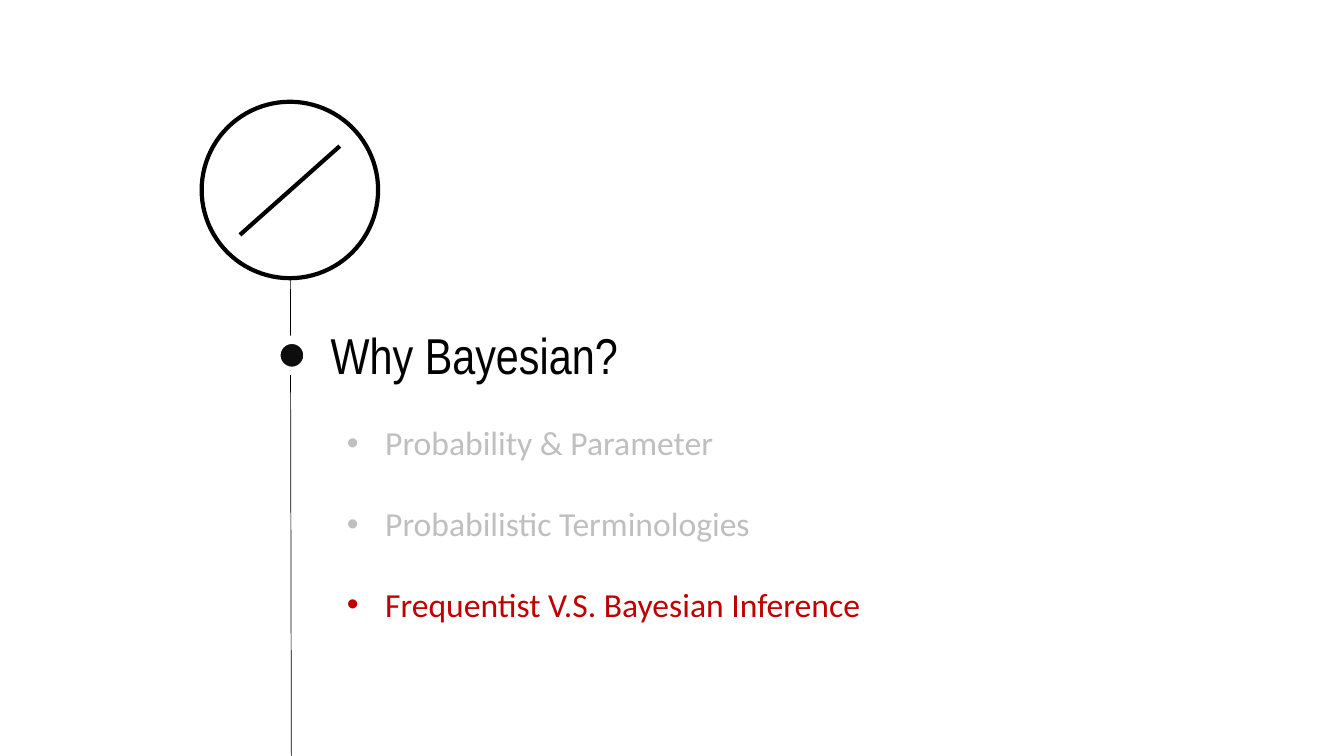
from pptx import Presentation
from pptx.dml.color import RGBColor
from pptx.enum.shapes import MSO_CONNECTOR, MSO_SHAPE
from pptx.enum.text import MSO_ANCHOR, MSO_AUTO_SIZE, PP_ALIGN
from pptx.oxml.ns import qn
from pptx.util import Inches, Pt
from lxml.etree import SubElement

BLACK = RGBColor(0x00, 0x00, 0x00)
DOT_BLACK = RGBColor(0x0D, 0x0D, 0x0D)
WHITE = RGBColor(0xFF, 0xFF, 0xFF)
MUTED = RGBColor(0xBF, 0xBF, 0xBF)
ACTIVE = RGBColor(0xC0, 0x00, 0x00)

TOPICS = [
    ("Probability & Parameter", MUTED),
    ("Probabilistic Terminologies", MUTED),
    ("Frequentist V.S. Bayesian Inference", ACTIVE),
]


class SectionSlide:
    title_font = "Arial Narrow"
    body_font = "Calibri"
    title_size = Pt(36)
    body_size = Pt(24)
    bullet_indent = Inches(0.38)
    topic_gap = Pt(29)

    def __init__(self, prs):
        self.slide = prs.slides.add_slide(prs.slide_layouts[1])

    def place(self, sp, left, top, width, height):
        sp.left, sp.top = Inches(left), Inches(top)
        sp.width, sp.height = Inches(width), Inches(height)
        tf = sp.text_frame
        tf.word_wrap = True
        tf.auto_size = MSO_AUTO_SIZE.NONE
        tf.vertical_anchor = MSO_ANCHOR.TOP
        return tf

    def style(self, p, font, size, color):
        p.alignment = PP_ALIGN.LEFT
        for r in p.runs:
            r.font.name = font
            r.font.size = size
            r.font.color.rgb = color

    def title(self, text, *box):
        tf = self.place(self.slide.shapes.title, *box)
        tf.text = text
        self.style(tf.paragraphs[0], self.title_font, self.title_size, BLACK)

    def topics(self, items, *box):
        tf = self.place(self.slide.placeholders[1], *box)
        tf.text = "\n".join(text for text, _ in items)
        for i, (p, (_, color)) in enumerate(zip(tf.paragraphs, items)):
            pPr = p._p.get_or_add_pPr()
            pPr.set("marL", str(self.bullet_indent))
            pPr.set("indent", str(-self.bullet_indent))
            SubElement(pPr, qn("a:buFont"), typeface="Arial")
            SubElement(pPr, qn("a:buChar"), char="•")
            p.space_before = self.topic_gap if i else Pt(0)
            self.style(p, self.body_font, self.body_size, color)

    def line(self, x1, y1, x2, y2, weight):
        s = self.slide.shapes.add_connector(
            MSO_CONNECTOR.STRAIGHT, Inches(x1), Inches(y1), Inches(x2), Inches(y2))
        s.line.color.rgb = BLACK
        s.line.width = Pt(weight)
        SubElement(s._element.spPr, qn("a:effectLst"))

    def circle(self, left, top, size, outline, weight, fill=None):
        s = self.slide.shapes.add_shape(
            MSO_SHAPE.OVAL, Inches(left), Inches(top), Inches(size), Inches(size))
        s.shadow.inherit = False
        if fill is None:
            s.fill.background()
        else:
            s.fill.solid()
            s.fill.fore_color.rgb = fill
        s.line.color.rgb = outline
        s.line.width = Pt(weight)


def main():
    prs = Presentation()
    prs.slide_width, prs.slide_height = Inches(13.33), Inches(7.5)
    s = SectionSlide(prs)
    s.line(2.88, 2.76, 2.89, 7.5, 0.5)
    s.title("Why Bayesian?", 3.18, 3.17, 7.03, 0.71)
    s.circle(2, 1.01, 1.75, BLACK, 3)
    s.circle(2.74, 3.37, 0.31, WHITE, 6, DOT_BLACK)
    s.topics(TOPICS, 3.34, 4.14, 7.97, 2.12)
    s.line(2.38, 2.33, 3.37, 1.45, 3)
    prs.save("out.pptx")


if __name__ == "__main__":
    main()
